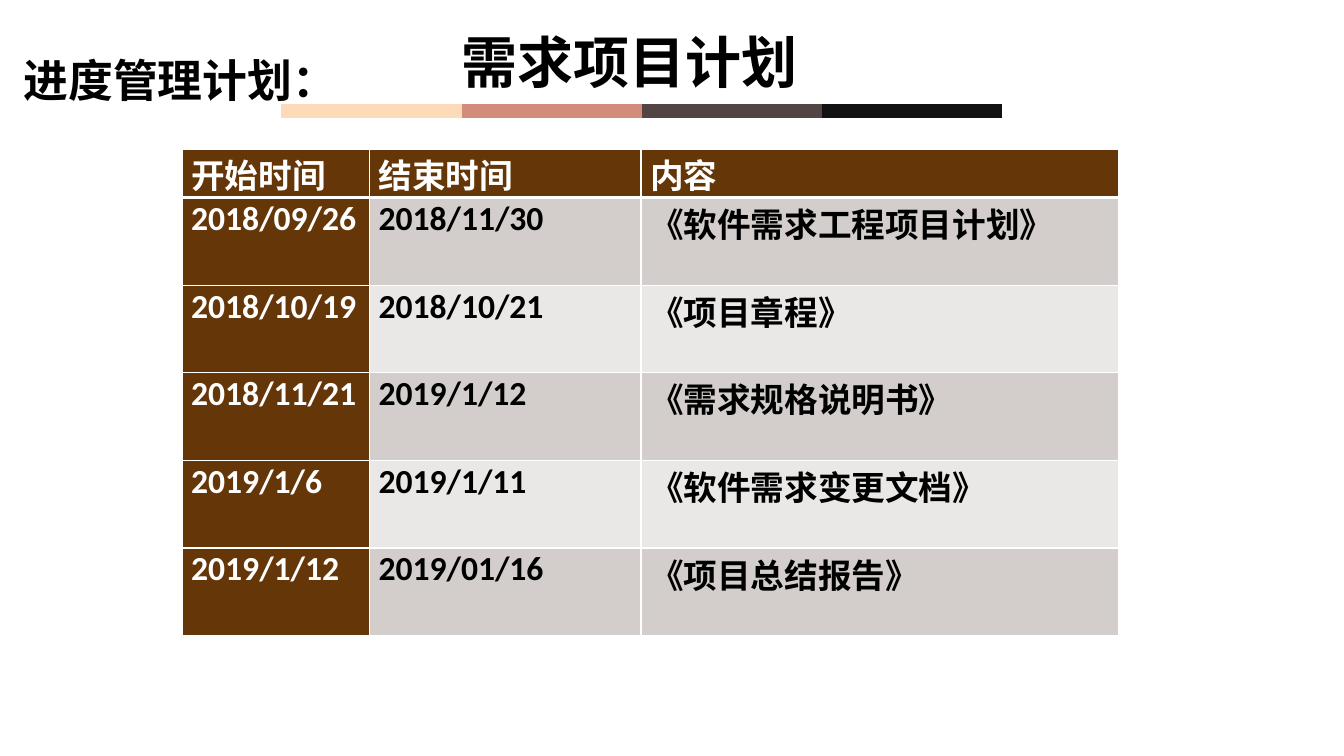
import pptx
import pptx.dml.color
import pptx.enum.shapes
import pptx.enum.text
import pptx.oxml
import pptx.oxml.ns
import pptx.util
from lxml import etree

Pt = pptx.util.Pt
Anchor = pptx.enum.text.MSO_ANCHOR
Align = pptx.enum.text.PP_ALIGN
W, H = pptx.util.Inches(13.33), pptx.util.Inches(7.5)
CJK = "Noto Sans CJK SC"
COLORS = {
    "text": "000000", "white": "FFFFFF", "brown": "653607",
    "odd": "D3CECC", "even": "EAE8E7",
    "peach": "FDDAB8", "coral": "D28C79", "umber": "534544", "ink": "121212",
}
STRIPES = ["peach", "coral", "umber", "ink"]
COLUMN_SHARES = [0.2, 0.29, 0.51]
HEADER_SHARE = 0.1
SCHEDULE = [
    ("开始时间", "结束时间", "内容"),
    ("2018/09/26", "2018/11/30", "《软件需求工程项目计划》"),
    ("2018/10/19", "2018/10/21", "《项目章程》"),
    ("2018/11/21", "2019/1/12", "《需求规格说明书》"),
    ("2019/1/6", "2019/1/11", "《软件需求变更文档》"),
    ("2019/1/12", "2019/01/16", "《项目总结报告》"),
]


def rgb(name):
    return pptx.dml.color.RGBColor.from_string(COLORS[name])


def box(left, top, width, height):
    """Turn percentages of the slide into lengths."""
    return [int(share * side / 100)
            for share, side in zip((left, top, width, height), (W, H, W, H))]


def write(tf, text, size, font, color="text", align=Align.LEFT):
    p = tf.paragraphs[0]
    p.alignment = align
    r = p.add_run()
    r.text = text
    p.font.size, p.font.name, p.font.bold = Pt(size), font, True
    p.font.color.rgb = rgb(color)
    ea = etree.SubElement(r._r.get_or_add_rPr(), pptx.oxml.ns.qn("a:ea"))
    ea.set("typeface", CJK)


def add_title(s, area):
    sp = s.shapes.title
    sp.left, sp.top, sp.width, sp.height = area
    tf = sp.text_frame
    tf.auto_size = pptx.enum.text.MSO_AUTO_SIZE.NONE
    tf.vertical_anchor = Anchor.TOP
    tf.margin_top = tf.margin_bottom = 0
    write(tf, "需求项目计划", 40, "TeX Gyre Adventor")
    tf.paragraphs[0].line_spacing = 0.9


def add_heading(s, area):
    tf = s.shapes.add_textbox(*area).text_frame
    tf.word_wrap = False
    tf.vertical_anchor = Anchor.MIDDLE
    tf.margin_top = tf.margin_bottom = 0
    write(tf, "进度管理计划：", 32, CJK, align=Align.CENTER)


def add_stripes(s, area):
    left, top, width, _ = area
    step = width // len(STRIPES)
    for i, color in enumerate(STRIPES):
        x = left + i * step
        line = s.shapes.add_connector(
            pptx.enum.shapes.MSO_CONNECTOR.STRAIGHT, x, top, x + step, top)
        line.line.color.rgb = rgb(color)
        line.line.width = Pt(10)
        etree.SubElement(line._element.spPr, pptx.oxml.ns.qn("a:effectLst"))


def set_borders(cell, widths):
    """Draw white cell borders, given in points by side."""
    tcPr = cell._tc.get_or_add_tcPr()
    for i, (side, width) in enumerate(widths.items()):
        tcPr.insert(i, pptx.oxml.parse_xml(
            f'<a:ln{side} {pptx.oxml.ns.nsdecls("a")} w="{Pt(width)}"><a:solidFill>'
            f'<a:srgbClr val="{COLORS["white"]}"/></a:solidFill></a:ln{side}>'))


def add_schedule(s, area):
    width, height = area[2:]
    table = s.shapes.add_table(len(SCHEDULE), len(COLUMN_SHARES), *area).table
    for column, share in zip(table.columns, COLUMN_SHARES):
        column.width = int(width * share)
    body_share = (1 - HEADER_SHARE) / (len(SCHEDULE) - 1)
    for i, texts in enumerate(SCHEDULE):
        table.rows[i].height = int(height * (body_share if i else HEADER_SHARE))
        for j, text in enumerate(texts):
            cell = table.cell(i, j)
            dark = i == 0 or j == 0
            fill = "brown" if dark else "odd" if i % 2 else "even"
            cell.fill.solid()
            cell.fill.fore_color.rgb = rgb(fill)
            cell.margin_left = cell.margin_right = Pt(6.5)
            cell.margin_top, cell.margin_bottom = Pt(0.7), 0
            set_borders(cell, {"L": 1, "R": 1, "T": 3 if i == 1 else 1,
                               "B": 3 if i == 0 else 1})
            write(cell.text_frame, text, 24, "Calibri",
                  "white" if dark else "text")


def main():
    prs = pptx.Presentation()
    prs.slide_width, prs.slide_height = W, H
    s = prs.slides.add_slide(prs.slide_layouts[5])
    add_stripes(s, box(20.93, 14.67, 53.65, 0))
    add_title(s, box(33.6, 4.67, 35.8, 5.33))
    add_heading(s, box(0.9, 6.27, 25.06, 8.53))
    add_schedule(s, box(13.55, 19.7, 69.69, 64.4))
    prs.save("out.pptx")


if __name__ == "__main__":
    main()
